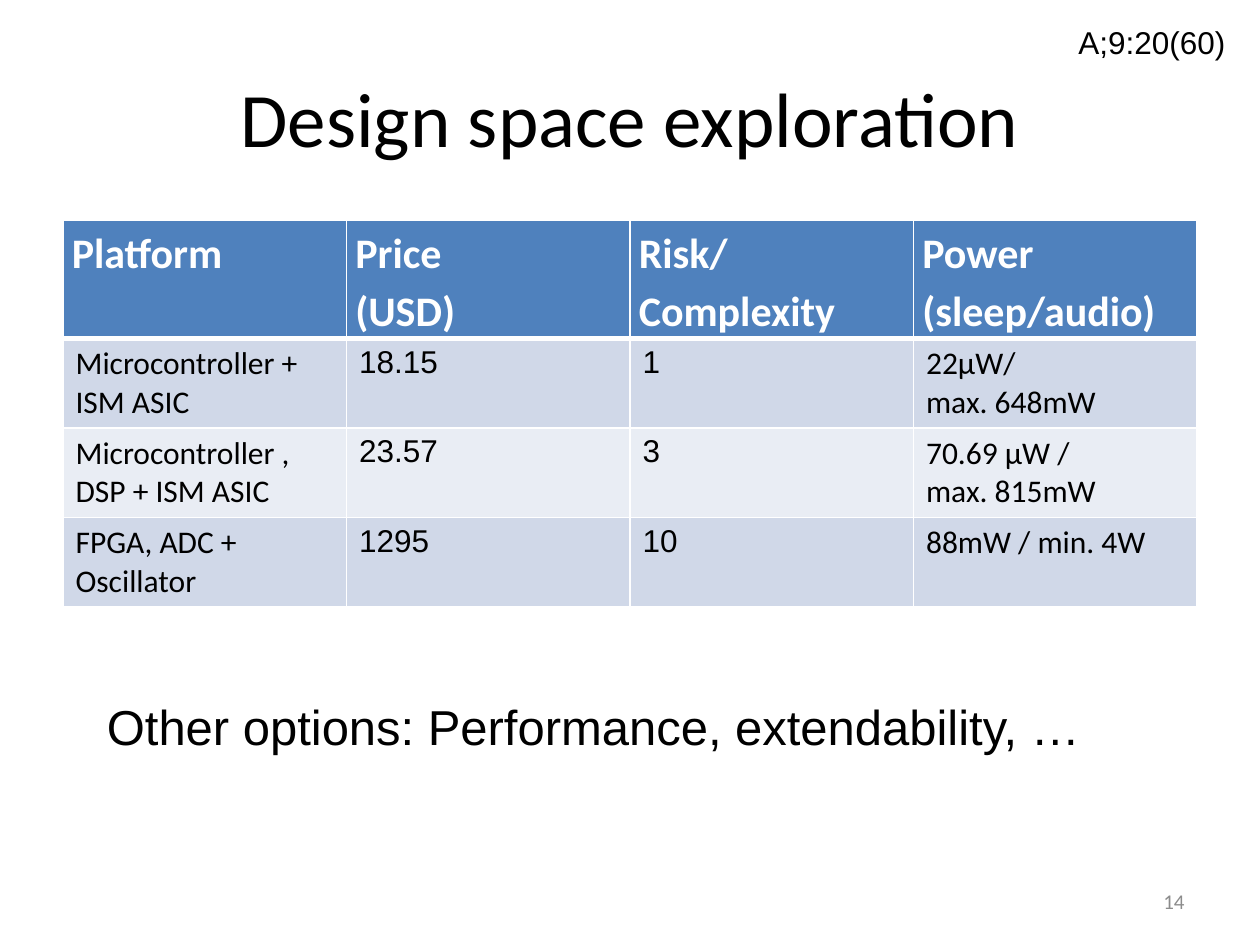
from dataclasses import dataclass
from typing import Any

from lxml import etree
from pptx import Presentation
from pptx.dml.color import RGBColor
from pptx.enum.text import MSO_ANCHOR, MSO_AUTO_SIZE, PP_ALIGN
from pptx.oxml.ns import qn
from pptx.util import Inches, Pt

LEFT, CENTER, RIGHT = PP_ALIGN.LEFT, PP_ALIGN.CENTER, PP_ALIGN.RIGHT
TOP, MIDDLE = MSO_ANCHOR.TOP, MSO_ANCHOR.MIDDLE
NO_FIT, GROW = MSO_AUTO_SIZE.NONE, MSO_AUTO_SIZE.SHAPE_TO_FIT_TEXT

HEADER = ["Platform", "Price\n(USD)", "Risk/\nComplexity", "Power\n(sleep/audio)"]
PLATFORMS = [
    ["Microcontroller + ISM ASIC", "18.15", "1", "22µW/\nmax. 648mW"],
    ["Microcontroller , DSP + ISM ASIC", "23.57", "3", "70.69 µW /\nmax. 815mW"],
    ["FPGA, ADC + Oscillator", "1295", "10", "88mW / min. 4W"],
]


def color(value):
    """Turn a hex string into a colour."""
    return RGBColor.from_string(value)


@dataclass
class Deck:
    """Style and current slide, on a grid of quarter-inch units."""

    s: Any
    unit: float = 0.25
    heading: str = "Calibri"
    body: str = "Arial"
    ink: str = "000000"
    white: str = "FFFFFF"
    accent: str = "4F81BD"
    bands: tuple = ("D0D8E8", "E9EDF4")

    def grid(self, *cells):
        """Turn grid units into lengths."""
        return [Inches(c * self.unit) for c in cells]

    def add_lines(self, tf, text, size, font, ink, bold=False, align=LEFT,
                  spacing=None):
        """Add each line of the text as a paragraph."""
        for i, line in enumerate(text.split("\n")):
            p = tf.add_paragraph() if i else tf.paragraphs[0]
            p.alignment = align
            if spacing:
                p.line_spacing = spacing
            r = p.add_run()
            r.text = line
            r.font.size, r.font.name, r.font.bold = Pt(size), font, bold
            r.font.color.rgb = color(ink)

    def text(self, box, text, size, font, ink=None, align=LEFT, anchor=TOP,
             wrap=True, fit=NO_FIT):
        """Add a text box."""
        tf = self.s.shapes.add_textbox(*self.grid(*box)).text_frame
        tf.word_wrap, tf.auto_size, tf.vertical_anchor = wrap, fit, anchor
        self.add_lines(tf, text, size, font, ink or self.ink, align=align)

    def borders(self, cell, top, bottom):
        """Draw the four white borders of a cell."""
        tc_pr = cell._tc.get_or_add_tcPr()
        widths = {"a:lnL": 1, "a:lnR": 1, "a:lnT": top, "a:lnB": bottom}
        for i, (tag, width) in enumerate(widths.items()):
            ln = etree.Element(qn(tag), w=str(Pt(width)))
            fill = etree.SubElement(ln, qn("a:solidFill"))
            etree.SubElement(fill, qn("a:srgbClr"), val=self.white)
            tc_pr.insert(i, ln)

    def table(self, box, header, rows, heights):
        """Add a table with a header and banded rows."""
        table = self.s.shapes.add_table(
            len(rows) + 1, len(header), *self.grid(*box)).table
        for i, values in enumerate([header] + rows):
            table.rows[i].height = self.grid(heights[min(i, 1)])[0]
            for j, value in enumerate(values):
                cell = table.cell(i, j)
                cell.fill.solid()
                cell.fill.fore_color.rgb = color(
                    self.bands[(i - 1) % 2] if i else self.accent)
                self.borders(cell, 3 if i == 1 else 1, 1 if i else 3)
                if i:
                    font = self.body if j in (1, 2) else self.heading
                    self.add_lines(cell.text_frame, value, 18, font, self.ink)
                else:
                    cell.margin_left = cell.margin_right = Inches(0.07)
                    cell.margin_top = cell.margin_bottom = 0
                    self.add_lines(cell.text_frame, value, 24, self.heading,
                                   self.white, bold=True, spacing=1.15)


def main():
    """Build the slide."""
    prs = Presentation()
    prs.slide_width, prs.slide_height = Inches(10), Inches(7.5)
    deck = Deck(prs.slides.add_slide(prs.slide_layouts[6]))
    deck.text((2, 1.2, 36, 5), "Design space exploration", 44, deck.heading,
              align=CENTER, anchor=MIDDLE)
    deck.table((2, 7, 36, 12.08), HEADER, PLATFORMS, (3.68, 2.8))
    deck.text((3, 21.92, 32.08, 2.28), "Other options: Performance, extendability, …",
              28, deck.body, wrap=False, fit=GROW)
    deck.text((33.84, 0.52, 5.68, 1.6), "A;9:20(60)", 18, deck.body, fit=GROW)
    deck.text((28.68, 27.8, 9.32, 1.6), "14", 12, deck.heading, "8C8C8C",
              align=RIGHT, anchor=MIDDLE)
    prs.save("out.pptx")


if __name__ == "__main__":
    main()
